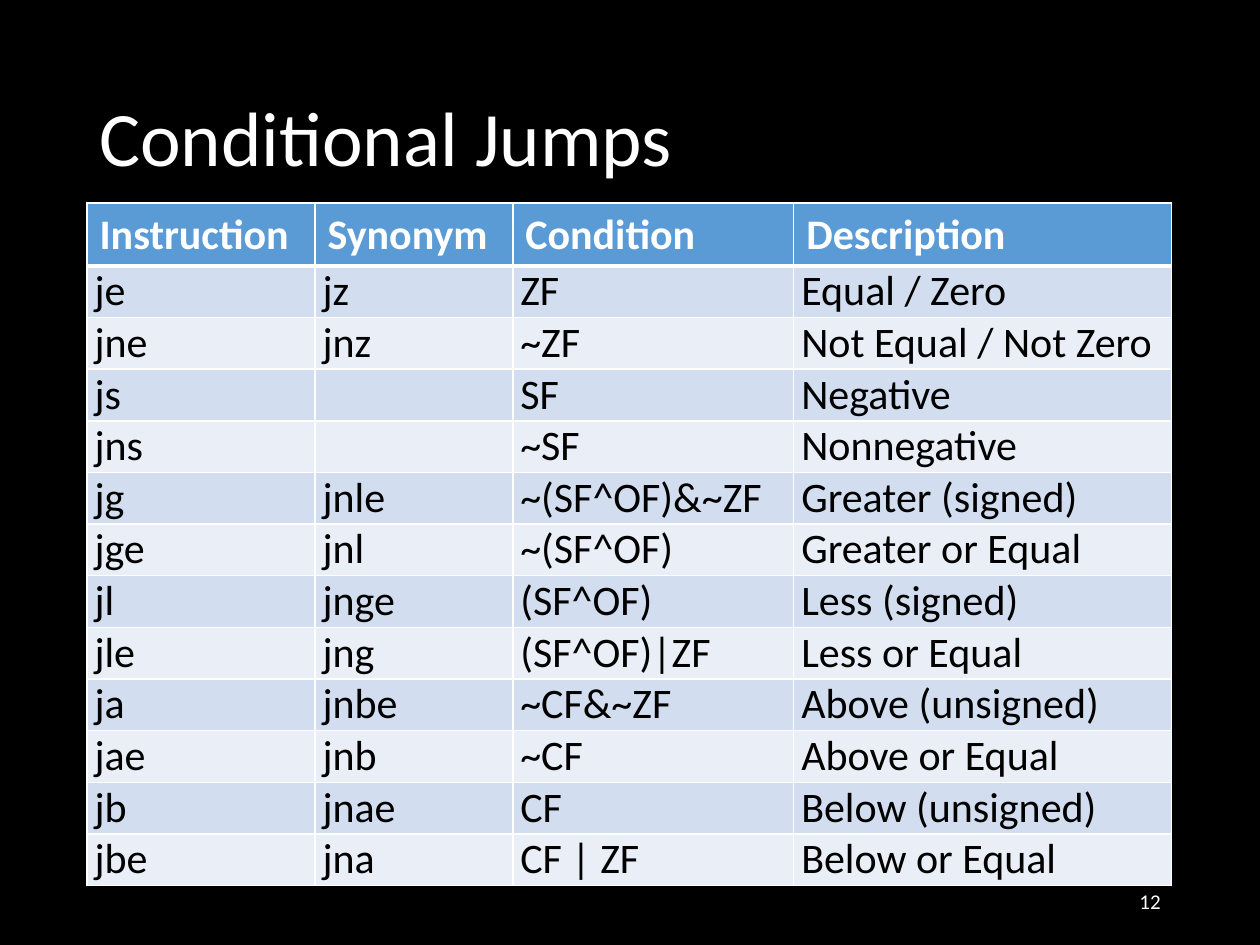
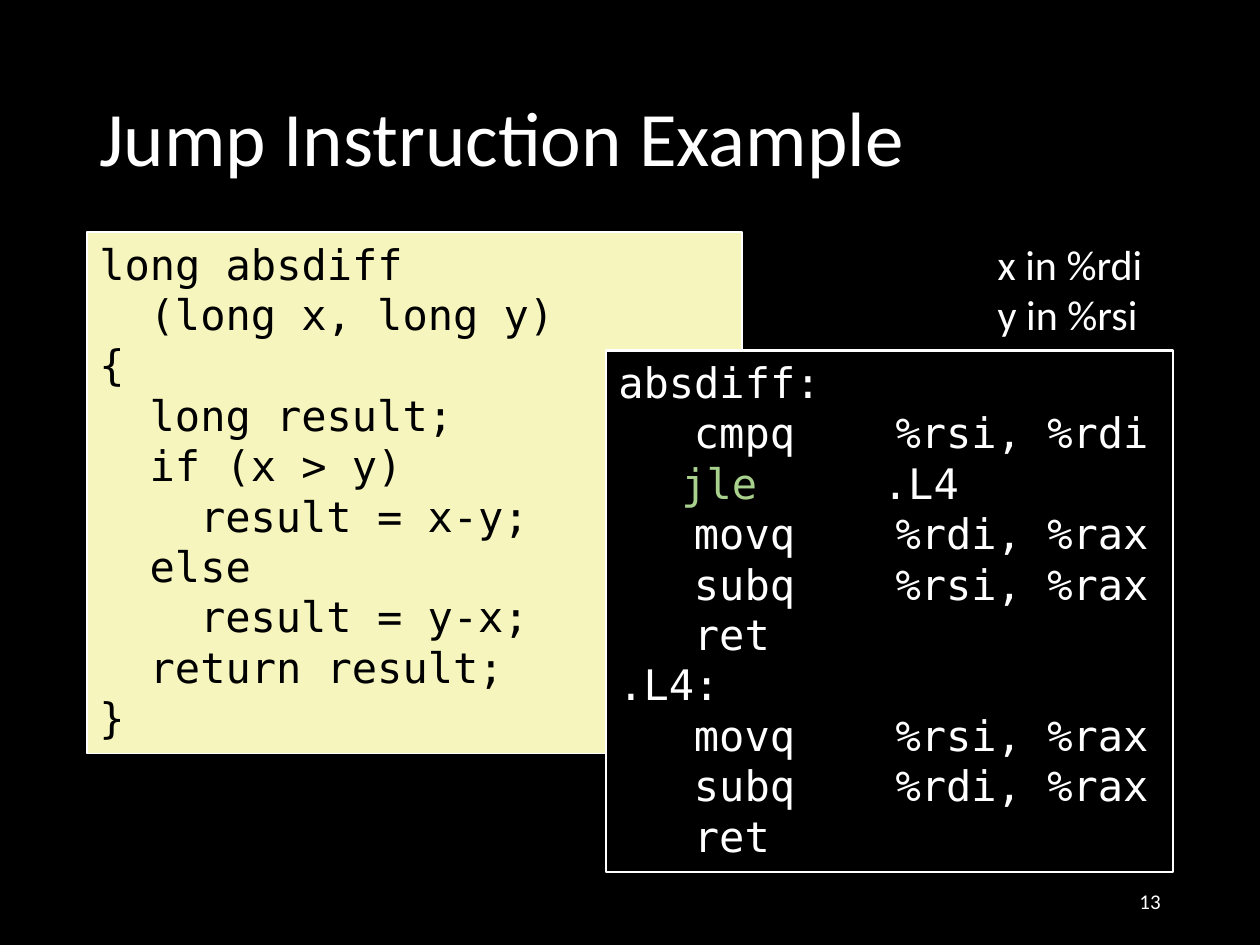
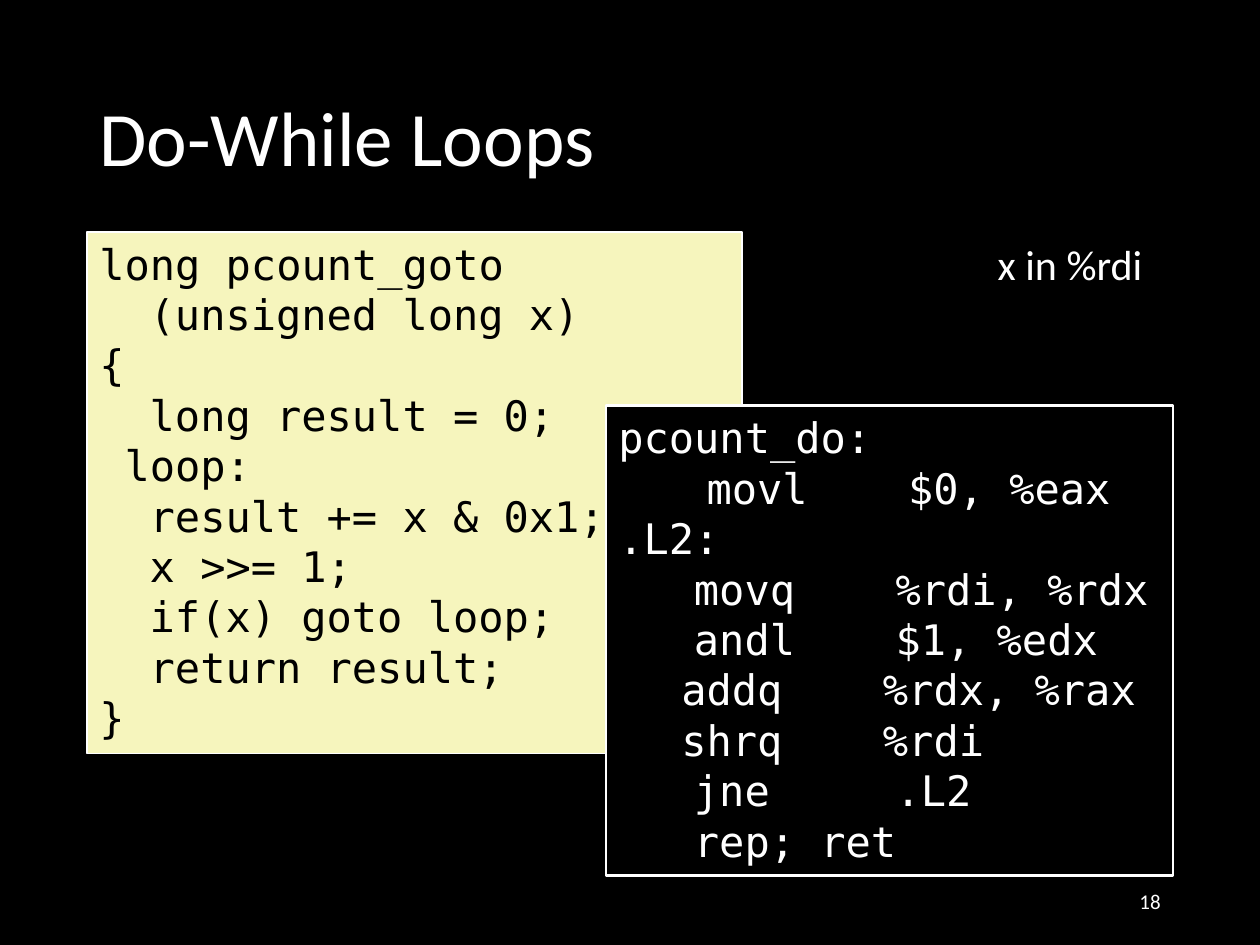
"""Build three slides on conditional jumps and loops in assembly."""
from lxml.etree import SubElement
from pptx import Presentation
from pptx.dml.color import RGBColor
from pptx.enum.shapes import MSO_SHAPE as Shape
from pptx.enum.text import MSO_ANCHOR as Anchor, MSO_AUTO_SIZE as AutoSize, PP_ALIGN as Align
from pptx.oxml.ns import qn
from pptx.util import Inches, Pt

BLACK = RGBColor(0x00, 0x00, 0x00)
WHITE = RGBColor(0xFF, 0xFF, 0xFF)
CREAM = RGBColor(0xF6, 0xF5, 0xBD)
GREEN = RGBColor(0xA9, 0xD1, 0x8E)
HEADER_BLUE = RGBColor(0x5B, 0x9B, 0xD5)
ROW_BLUES = (RGBColor(0xEA, 0xEF, 0xF7), RGBColor(0xD2, 0xDE, 0xEF))
SANS, MONO = "Calibri", "DejaVu Sans Mono"

LEFT, RIGHT = 0.69, 9.31
CODE_TOP = 1.84
CHAR_WIDTH = 0.2
OPERAND_GAP = 8 * CHAR_WIDTH
COLUMN_WIDTHS = (1.81, 1.57, 2.23, 3)
ROW_HEIGHT = 0.41

JUMPS = [
    ("Instruction", "Synonym", "Condition", "Description"),
    ("je", "jz", "ZF", "Equal / Zero"),
    ("jne", "jnz", "~ZF", "Not Equal / Not Zero"),
    ("js", "", "SF", "Negative"),
    ("jns", "", "~SF", "Nonnegative"),
    ("jg", "jnle", "~(SF^OF)&~ZF", "Greater (signed)"),
    ("jge", "jnl", "~(SF^OF)", "Greater or Equal"),
    ("jl", "jnge", "(SF^OF)", "Less (signed)"),
    ("jle", "jng", "(SF^OF)|ZF", "Less or Equal"),
    ("ja", "jnbe", "~CF&~ZF", "Above (unsigned)"),
    ("jae", "jnb", "~CF", "Above or Equal"),
    ("jb", "jnae", "CF", "Below (unsigned)"),
    ("jbe", "jna", "CF | ZF", "Below or Equal"),
]

EXAMPLES = [
    {
        "title": "Jump Instruction Example",
        "number": 13,
        "registers": ["x in %rdi", "y in %rsi"],
        "source": [
            (0, "long absdiff"), (2, "(long x, long y)"), (0, "{"),
            (2, "long result;"), (2, "if (x > y)"), (4, "result = x-y;"),
            (2, "else"), (4, "result = y-x;"), (2, "return result;"), (0, "}"),
        ],
        "assembly_box": (2.78, 4.14),
        "assembly": [
            (0, "absdiff:"), (3, "cmpq", "%rsi, %rdi"), (2.5, "jle", ".L4"),
            (3, "movq", "%rdi, %rax"), (3, "subq", "%rsi, %rax"), (3, "ret"),
            (0, ".L4:"), (3, "movq", "%rsi, %rax"), (3, "subq", "%rdi, %rax"),
            (3, "ret"),
        ],
        "highlight": "jle",
    },
    {
        "title": "Do-While Loops",
        "number": 18,
        "registers": ["x in %rdi"],
        "source": [
            (0, "long pcount_goto"), (2, "(unsigned long x)"), (0, "{"),
            (2, "long result = 0;"), (1, "loop:"), (2, "result += x & 0x1;"),
            (2, "x >>= 1;"), (2, "if(x) goto loop;"), (2, "return result;"),
            (0, "}"),
        ],
        "assembly_box": (3.22, 3.73),
        "assembly": [
            (0, "pcount_do:"), (3.5, "movl", "$0, %eax"), (0, ".L2:"),
            (3, "movq", "%rdi, %rdx"), (3, "andl", "$1, %edx"),
            (2.5, "addq", "%rdx, %rax"), (2.5, "shrq", "%rdi"),
            (3, "jne", ".L2"), (3, "rep; ret"),
        ],
        "highlight": None,
    },
]


def write(frame, text, size=24, font=SANS, color=WHITE, bold=False, align=Align.LEFT,
          spacing=1.0, indent=0, tabs=(), highlight=None):
    """Write one paragraph, filling the first one of an empty frame."""
    line = frame.paragraphs[0]
    if line.runs:
        line = frame.add_paragraph()
    line.alignment, line.line_spacing = align, spacing
    properties = line._p.get_or_add_pPr()
    if indent:
        properties.set("marL", str(Inches(indent)))
        properties.set("indent", "0")
    if tabs:
        stops = SubElement(properties, qn("a:tabLst"))
        for position in tabs:
            SubElement(stops, qn("a:tab"), pos=str(Inches(position)), algn="l")
    for part in text.partition(highlight) if highlight else (text,):
        if part:
            run = line.add_run()
            run.text = part
            run.font.size, run.font.name, run.font.bold = Pt(size), font, bold
            run.font.color.rgb = GREEN if part == highlight else color


def add_text_frame(slide, left, top, width, height, anchor=Anchor.TOP):
    """Add a wrapping text box and return its frame."""
    frame = slide.shapes.add_textbox(*map(Inches, (left, top, width, height))).text_frame
    frame.word_wrap, frame.vertical_anchor = True, anchor
    return frame


def add_base_slide(deck, title, number):
    """Add a black slide with its title and number."""
    slide = deck.slides.add_slide(deck.slide_layouts[6])
    slide.background.fill.solid()
    slide.background.fill.fore_color.rgb = BLACK
    write(add_text_frame(slide, LEFT, 0.4, RIGHT - LEFT, 1.45, Anchor.MIDDLE),
          title, size=44, spacing=0.9)
    write(add_text_frame(slide, RIGHT - 2.25, 6.95, 2.25, 0.4, Anchor.MIDDLE),
          str(number), size=12, align=Align.RIGHT)
    return slide


def add_code_box(slide, left, top, width, height, fill, border):
    """Add a bordered code panel and return its text frame."""
    panel = slide.shapes.add_shape(Shape.RECTANGLE, *map(Inches, (left, top, width, height)))
    panel.shadow.inherit = False
    panel.fill.solid()
    panel.fill.fore_color.rgb = fill
    panel.line.color.rgb, panel.line.width = WHITE, Pt(border)
    frame = panel.text_frame
    frame.word_wrap, frame.vertical_anchor = True, Anchor.TOP
    frame.auto_size = AutoSize.SHAPE_TO_FIT_TEXT
    return frame


def style_cell(cell, fill, top, bottom):
    """Give a cell white borders and a fill."""
    properties = cell._tc.get_or_add_tcPr()
    for side, width in (("L", 1), ("R", 1), ("T", top), ("B", bottom)):
        border = SubElement(properties, qn(f"a:ln{side}"), w=str(Pt(width)))
        SubElement(SubElement(border, qn("a:solidFill")), qn("a:srgbClr"), val=str(WHITE))
    cell.fill.solid()
    cell.fill.fore_color.rgb = fill


def add_jump_table(slide):
    """Add the table of conditional jumps."""
    table = slide.shapes.add_table(
        len(JUMPS), len(COLUMN_WIDTHS), Inches(LEFT), Inches(1.61),
        Inches(sum(COLUMN_WIDTHS)), Inches(ROW_HEIGHT * len(JUMPS))).table
    for column, width in zip(table.columns, COLUMN_WIDTHS):
        column.width = Inches(width)
    for index, jump in enumerate(JUMPS):
        is_header = index == 0
        table.rows[index].height = Inches(ROW_HEIGHT)
        for cell, text in zip(table.rows[index].cells, jump):
            style_cell(cell, HEADER_BLUE if is_header else ROW_BLUES[index % 2],
                       top=3 if index == 1 else 1, bottom=3 if is_header else 1)
            if not is_header:
                cell.margin_left = cell.margin_right = Inches(0.06)
                cell.margin_top = cell.margin_bottom = 0
            write(cell.text_frame, text, bold=is_header, color=WHITE if is_header else BLACK)


def add_example(deck, example):
    """Add a slide pairing source code with its assembly."""
    slide = add_base_slide(deck, example["title"], example["number"])
    source = add_code_box(slide, LEFT, CODE_TOP, 5.2, 4.14, CREAM, 1)
    for indent, text in example["source"]:
        write(source, text, font=MONO, color=BLACK, indent=indent * CHAR_WIDTH)
    top, height = example["assembly_box"]
    assembly = add_code_box(slide, RIGHT - 4.5, top, 4.5, height, BLACK, 1.5)
    for indent, *words in example["assembly"]:
        start = indent * CHAR_WIDTH
        write(assembly, "\t".join([""] * bool(indent) + words), font=MONO,
              tabs=(start, start + OPERAND_GAP) if indent else (),
              highlight=example["highlight"])
    registers = example["registers"]
    notes = add_text_frame(slide, 7.82, CODE_TOP, RIGHT - 7.82, 0.1 + 0.4 * len(registers))
    for register in registers:
        write(notes, register)


deck = Presentation()
deck.slide_width, deck.slide_height = Inches(10), Inches(7.5)
add_jump_table(add_base_slide(deck, "Conditional Jumps", 12))
for example in EXAMPLES:
    add_example(deck, example)
deck.save("out.pptx")
